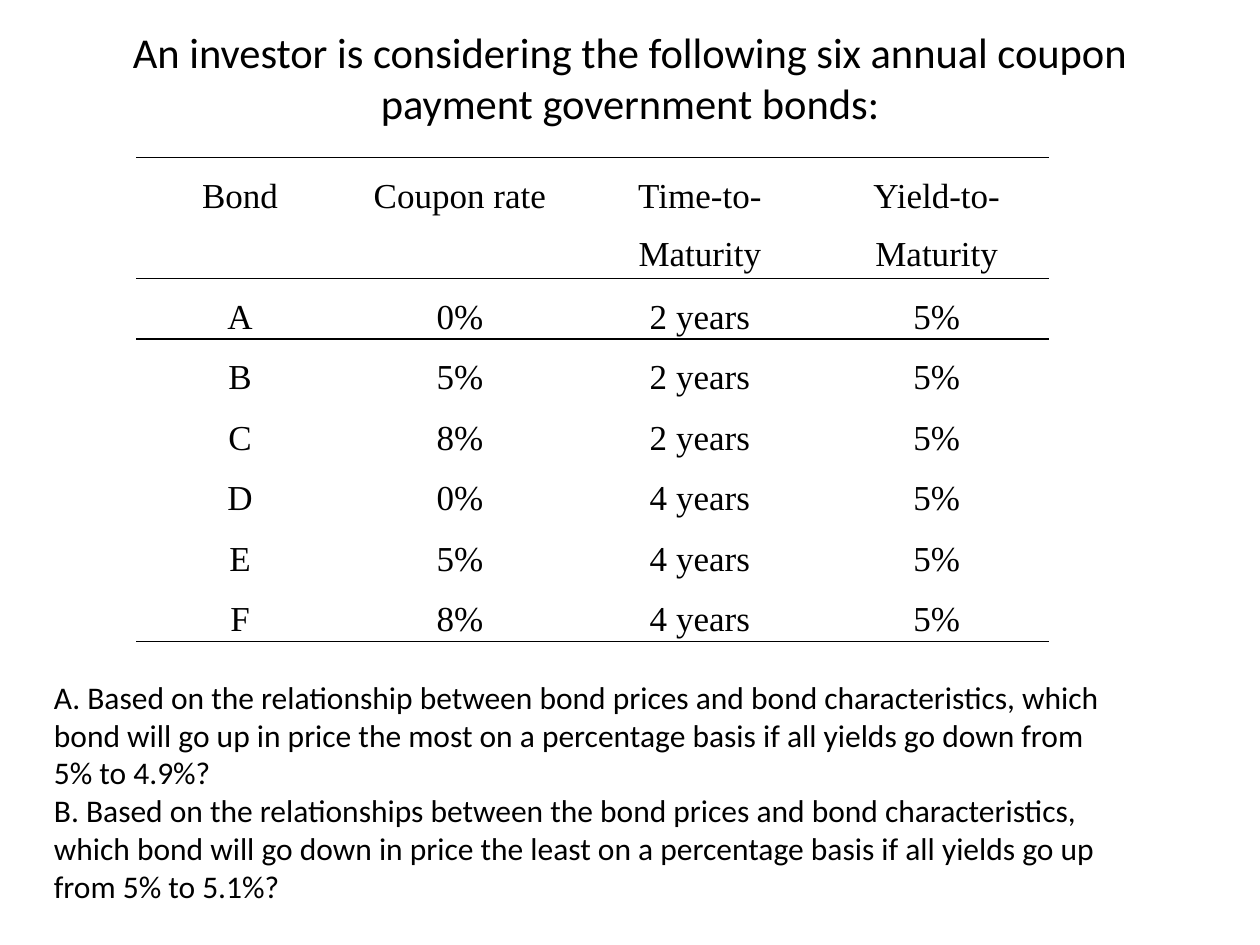
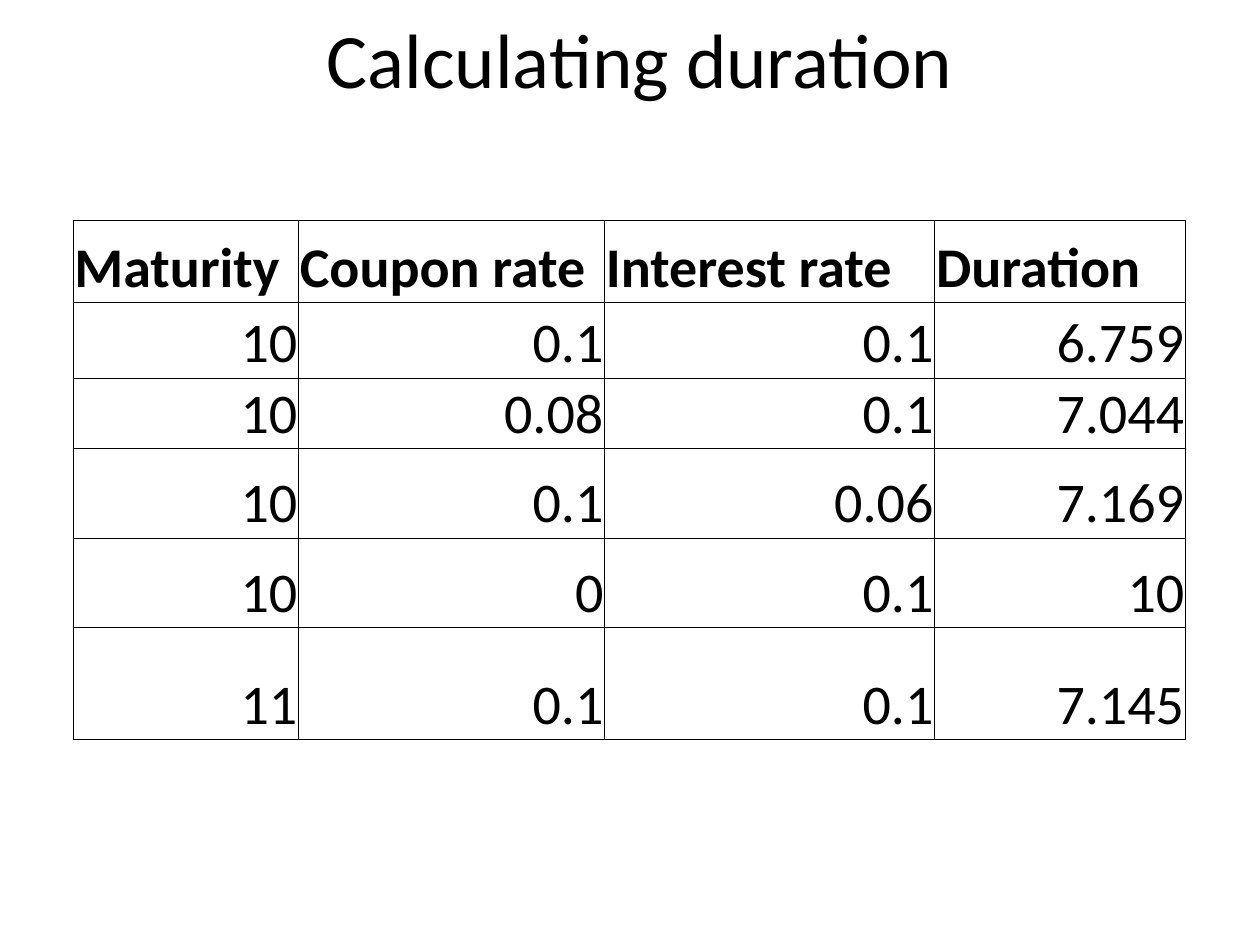
from dataclasses import dataclass, field
from typing import Any

import lxml.etree
import pptx
import pptx.dml.color
import pptx.enum.text
import pptx.oxml.ns
import pptx.util

Inches = pptx.util.Inches
Pt = pptx.util.Pt
ALIGN = pptx.enum.text.PP_ALIGN
ANCHOR = pptx.enum.text.MSO_ANCHOR
qn = pptx.oxml.ns.qn

BLACK = pptx.dml.color.RGBColor(0x00, 0x00, 0x00)
SANS = "Calibri"
SERIF = "Times New Roman"
NO_STYLE = "{2D5ABB26-0587-4C30-8999-92F81FD0307C}"
TITLE_ONLY = 5
SIDES = "LRTB"


@dataclass(frozen=True)
class Box:
    left: float
    top: float
    width: float
    height: float

    def lengths(self) -> tuple:
        return tuple(Inches(v) for v in (self.left, self.top, self.width, self.height))


@dataclass(frozen=True)
class TextStyle:
    size: float
    name: str = SANS
    bold: bool = False
    paragraph: dict[str, Any] = field(default_factory=dict)

    def font(self) -> dict[str, Any]:
        return {"size": Pt(self.size), "name": self.name, "bold": self.bold}


@dataclass(frozen=True)
class TableSpec:
    left: float
    top: float
    cols: list[float]
    rows: list[float]
    data: list[list[str]]
    header: TextStyle
    body: TextStyle
    cell: dict[str, Any]
    line_width: float
    borders: dict[int, str]


def set_format(target: Any, values: dict[str, Any]) -> None:
    for name, value in values.items():
        setattr(target, name, value)


def write(p: Any, text: str, style: TextStyle) -> None:
    r = p.add_run()
    r.text = text
    set_format(p, style.paragraph)
    set_format(r.font, style.font())
    r.font.color.rgb = BLACK


def add_titled_slide(prs: Any, text: str, box: Box, size: float) -> Any:
    slide = prs.slides.add_slide(prs.slide_layouts[TITLE_ONLY])
    sp = slide.shapes.title
    sp.left, sp.top, sp.width, sp.height = box.lengths()
    set_format(sp.text_frame, {
        "auto_size": pptx.enum.text.MSO_AUTO_SIZE.NONE,
        "vertical_anchor": ANCHOR.MIDDLE,
        "word_wrap": True,
    })
    style = TextStyle(size, paragraph={"alignment": ALIGN.CENTER})
    write(sp.text_frame.paragraphs[0], text, style)
    return slide


def set_borders(cell: Any, sides: str, width: float) -> None:
    tc_pr = cell._tc.get_or_add_tcPr()
    for i, side in enumerate(s for s in SIDES if s in sides):
        ln = lxml.etree.Element(qn(f"a:ln{side}"), w=str(Pt(width)))
        fill = lxml.etree.SubElement(ln, qn("a:solidFill"))
        lxml.etree.SubElement(fill, qn("a:srgbClr"), val=str(BLACK))
        tc_pr.insert(i, ln)


def add_table(slide: Any, spec: TableSpec) -> None:
    box = Box(spec.left, spec.top, sum(spec.cols), sum(spec.rows))
    frame = slide.shapes.add_table(len(spec.rows), len(spec.cols), *box.lengths())
    table = frame.table
    set_format(table, {"first_row": False, "horz_banding": False})
    table._tbl.tblPr.find(qn("a:tableStyleId")).text = NO_STYLE
    for col, width in zip(table.columns, spec.cols):
        col.width = Inches(width)
    for i, (row, height) in enumerate(zip(table.rows, spec.rows)):
        row.height = Inches(height)
        style = spec.body if i else spec.header
        for cell, text in zip(row.cells, spec.data[i]):
            set_format(cell, spec.cell)
            cell.fill.background()
            set_borders(cell, spec.borders.get(i, ""), spec.line_width)
            write(cell.text_frame.paragraphs[0], text, style)


def add_questions(slide: Any, questions: list[str], box: Box) -> None:
    tf = slide.shapes.add_textbox(*box.lengths()).text_frame
    tf.word_wrap = True
    for i, question in enumerate(questions):
        p = tf.add_paragraph() if i else tf.paragraphs[0]
        write(p, question, TextStyle(18))


BOND_TEXT = TextStyle(20, SERIF, paragraph={"alignment": ALIGN.CENTER, "line_spacing": 1.5})
BONDS = TableSpec(
    left=1.08,
    top=1.25,
    cols=[1.65, 1.84, 1.97, 1.79],
    rows=[0.96] + [0.48] * 6,
    data=[["Bond", "Coupon rate", "Time-to-Maturity", "Yield-to-Maturity"]] + [
        [bond, coupon, years, "5%"]
        for bond, coupon, years in zip(
            "ABCDEF", ["0%", "5%", "8%"] * 2, ["2 years"] * 3 + ["4 years"] * 3)
    ],
    header=BOND_TEXT,
    body=BOND_TEXT,
    cell={
        "margin_left": Inches(0.07), "margin_right": Inches(0.07),
        "margin_top": 0, "margin_bottom": 0,
        "vertical_anchor": ANCHOR.TOP,
    },
    line_width=1,
    borders={0: "TB", 1: "T", 6: "B"},
)

DURATIONS = TableSpec(
    left=0.58,
    top=1.75,
    cols=[1.79, 2.43, 2.62, 1.99],
    rows=[0.65, 0.6, 0.56, 0.71, 0.71, 0.89],
    data=[
        ["Maturity", "Coupon rate", "Interest rate", "Duration"],
        ["10", "0.1", "0.1", "6.759"],
        ["10", "0.08", "0.1", "7.044"],
        ["10", "0.1", "0.06", "7.169"],
        ["10", "0", "0.1", "10"],
        ["11", "0.1", "0.1", "7.145"],
    ],
    header=TextStyle(32, bold=True, paragraph={"alignment": ALIGN.LEFT}),
    body=TextStyle(32, paragraph={"alignment": ALIGN.RIGHT}),
    cell={
        "margin_left": Inches(0.01), "margin_right": Inches(0.01),
        "margin_top": Inches(0.01), "margin_bottom": 0,
        "vertical_anchor": ANCHOR.BOTTOM,
    },
    line_width=0.5,
    borders={i: SIDES for i in range(6)},
)

QUESTIONS = [
    "A. Based on the relationship between bond prices and bond characteristics, "
    "which bond will go up in price the most on a percentage basis "
    "if all yields go down from 5% to 4.9%?",
    "B. Based on the relationships between the bond prices and bond characteristics, "
    "which bond will go down in price the least on a percentage basis "
    "if all yields go up from 5% to 5.1%?",
]


def main() -> None:
    prs = pptx.Presentation()
    prs.slide_width, prs.slide_height = Inches(10), Inches(7.5)

    slide = add_titled_slide(
        prs,
        "An investor is considering the following six annual coupon payment government bonds:",
        Box(0.5, 0.17, 9, 0.88), 24.3)
    add_table(slide, BONDS)
    add_questions(slide, QUESTIONS, Box(0.33, 5.33, 8.67, 2.22))

    slide = add_titled_slide(prs, "Calculating duration", Box(0.58, 0, 9, 0.92), 44)
    add_table(slide, DURATIONS)

    prs.save("out.pptx")


if __name__ == "__main__":
    main()
